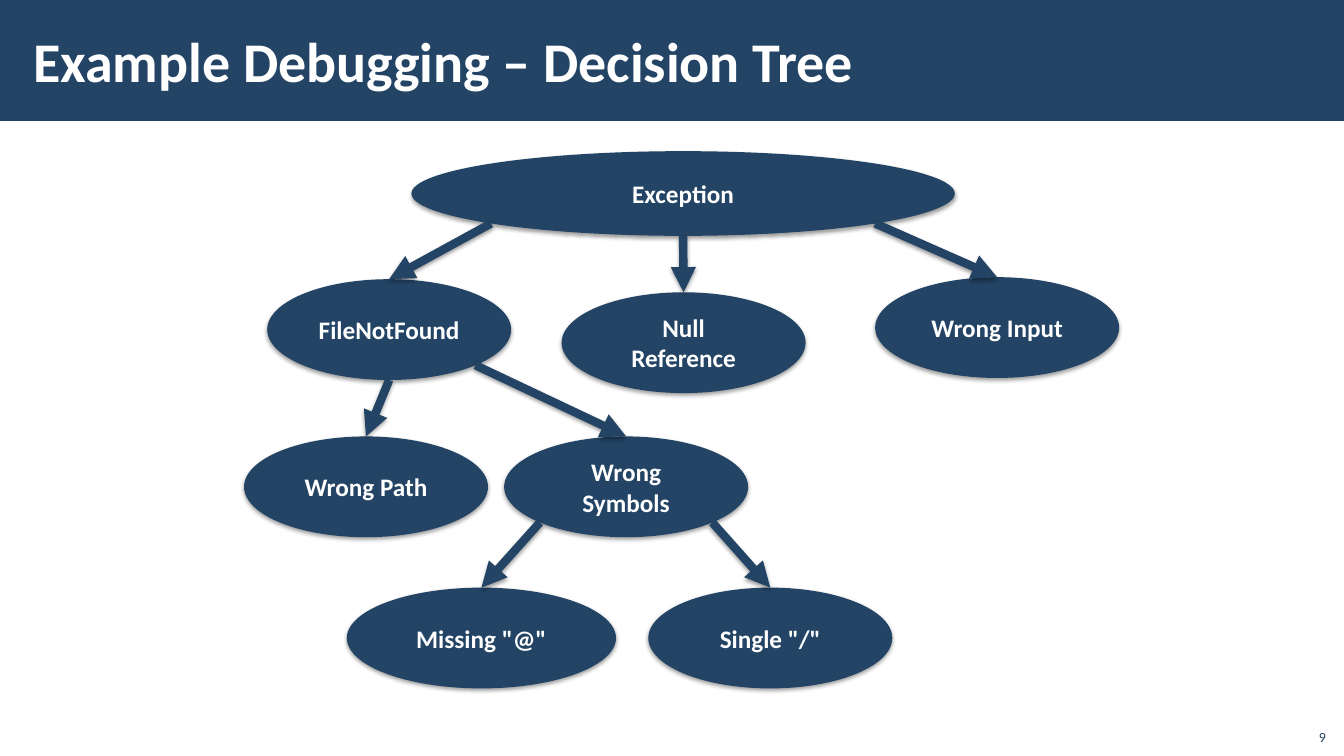
from math import cos, radians, sin

from lxml import etree
from pptx import Presentation
from pptx.dml.color import RGBColor
from pptx.enum import shapes, text
from pptx.oxml import ns
from pptx.util import Inches, Pt

NAVY = RGBColor(0x23, 0x44, 0x65)
WHITE = RGBColor(0xFF, 0xFF, 0xFF)
FONT = "Calibri"
NODE_W, NODE_H = 2.42, 1
TOP, BOTTOM, BOTTOM_LEFT, BOTTOM_RIGHT = -90, 90, 135, 45

NODES = {
    "Exception": (4.08, 1.5, 5.39, 0.84),
    "Null Reference": (5.57, 2.9, NODE_W, NODE_H),
    "Wrong Input": (8.68, 2.75, NODE_W, NODE_H),
    "FileNotFound": (2.65, 2.77, NODE_W, NODE_H),
    "Wrong Symbols": (5, 4.33, NODE_W, NODE_H),
    "Wrong Path": (2.42, 4.33, NODE_W, NODE_H),
    'Single "/"': (6.43, 5.83, NODE_W, NODE_H),
    'Missing "@"': (3.44, 5.83, 2.67, NODE_H),
}

BRANCHES = [
    ("Exception", BOTTOM_LEFT, "FileNotFound"),
    ("Exception", BOTTOM, "Null Reference"),
    ("Exception", BOTTOM_RIGHT, "Wrong Input"),
    ("FileNotFound", BOTTOM, "Wrong Path"),
    ("FileNotFound", BOTTOM_RIGHT, "Wrong Symbols"),
    ("Wrong Symbols", BOTTOM_LEFT, 'Missing "@"'),
    ("Wrong Symbols", BOTTOM_RIGHT, 'Single "/"'),
]


def add_shadow(sp):
    spPr = sp._element.spPr
    effects = etree.SubElement(spPr, ns.qn("a:effectLst"))
    shadow = etree.SubElement(
        effects, ns.qn("a:outerShdw"), blurRad=str(Pt(3.1)), dist=str(Pt(1.6)),
        dir="5400000", rotWithShape="0")
    color = etree.SubElement(shadow, ns.qn("a:srgbClr"), val="000000")
    etree.SubElement(color, ns.qn("a:alpha"), val="38000")


def add_filled(slide, kind, box):
    sp = slide.shapes.add_shape(kind, *map(Inches, box))
    sp.fill.solid()
    sp.fill.fore_color.rgb = NAVY
    sp.line.fill.background()
    return sp


def set_text(sp, words, size, color, bold, align, anchor):
    tf = sp.text_frame
    tf.word_wrap = True
    tf.vertical_anchor = anchor
    p = tf.paragraphs[0]
    p.text = words
    p.alignment = align
    p.font.name = FONT
    p.font.size = Pt(size)
    p.font.bold = bold
    p.font.color.rgb = color
    return tf


def add_label(slide, box, *style):
    return set_text(slide.shapes.add_textbox(*map(Inches, box)), *style)


def add_node(slide, words, box):
    sp = add_filled(slide, shapes.MSO_SHAPE.OVAL, box)
    add_shadow(sp)
    set_text(sp, words, 18, WHITE, True, text.PP_ALIGN.CENTER,
             text.MSO_ANCHOR.MIDDLE)


def rim_point(node, angle):
    left, top, width, height = NODES[node]
    x = left + width / 2 * (1 + cos(radians(angle)))
    y = top + height / 2 * (1 + sin(radians(angle)))
    return Inches(x), Inches(y)


def add_branch(slide, parent, angle, child):
    line = slide.shapes.add_connector(
        shapes.MSO_CONNECTOR.STRAIGHT,
        *rim_point(parent, angle), *rim_point(child, TOP))
    line.line.color.rgb = NAVY
    line.line.width = Pt(6)
    ln = line._element.spPr.find(ns.qn("a:ln"))
    etree.SubElement(ln, ns.qn("a:tailEnd"), type="triangle")
    add_shadow(line)


def add_header(slide, words):
    band = add_filled(slide, shapes.MSO_SHAPE.RECTANGLE, (0, 0, 13.34, 1.2))
    band.shadow.inherit = False
    tf = add_label(slide, (0.21, 0.11, 10.63, 0.97), words, 40, WHITE, True,
                   text.PP_ALIGN.LEFT, text.MSO_ANCHOR.MIDDLE)
    tf.margin_left = tf.margin_right = Inches(0.12)
    tf.margin_top = tf.margin_bottom = Inches(0.04)


def main():
    prs = Presentation()
    prs.slide_width, prs.slide_height = Inches(13.33), Inches(7.5)
    slide = prs.slides.add_slide(prs.slide_layouts[6])
    add_header(slide, "Example Debugging – Decision Tree")
    for words, box in NODES.items():
        add_node(slide, words, box)
    for branch in BRANCHES:
        add_branch(slide, *branch)
    add_label(slide, (12.85, 7.12, 0.4, 0.32), "9", 10, NAVY, False,
              text.PP_ALIGN.RIGHT, text.MSO_ANCHOR.BOTTOM)
    prs.save("out.pptx")


if __name__ == "__main__":
    main()
